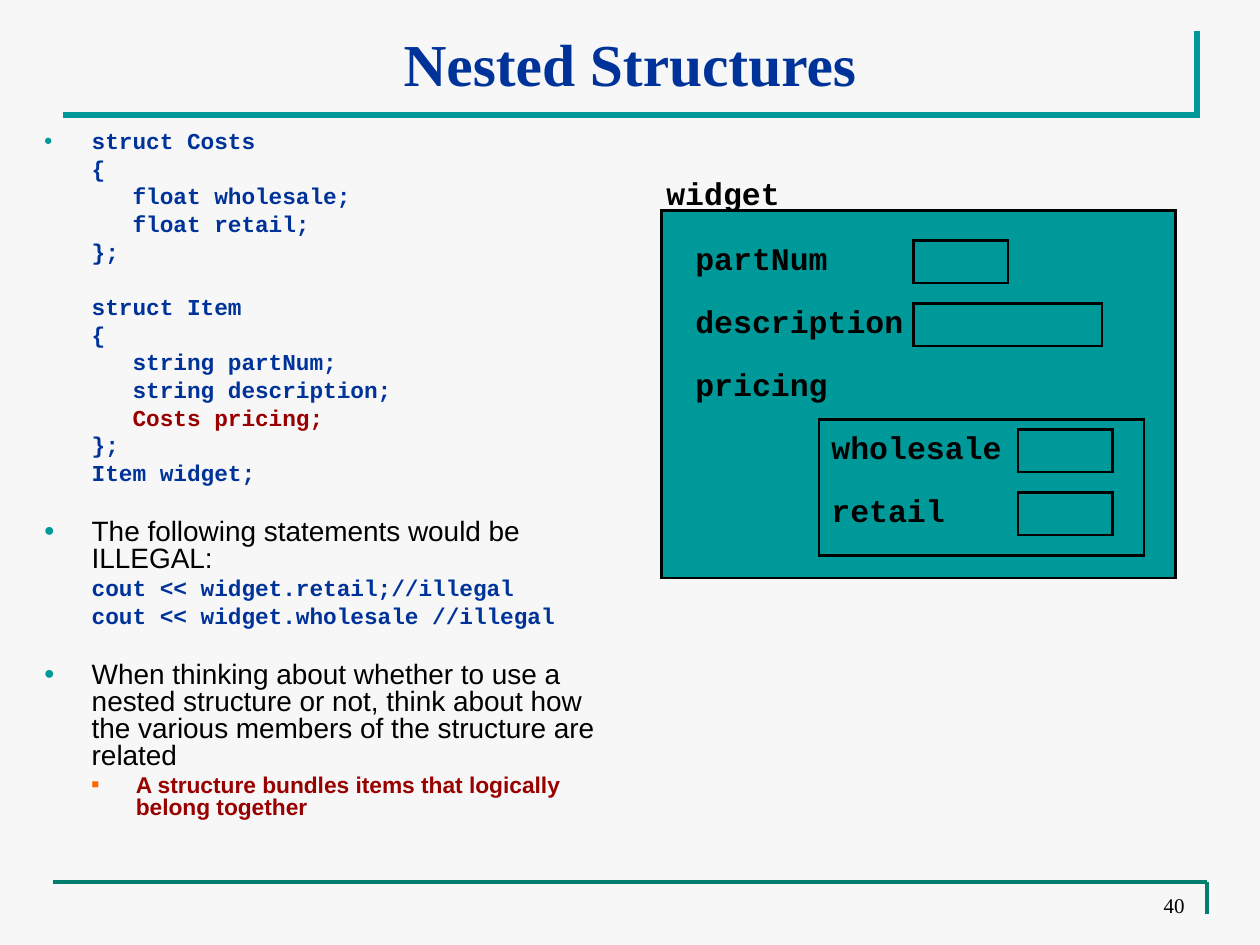
import pptx
import pptx.dml.color
import pptx.enum.shapes
import pptx.enum.text
import pptx.oxml
import pptx.util
from lxml import etree
from pptx.util import Inches

TEAL, FOOTER_TEAL, NAVY, RED = "009999", "027E6F", "003399", "990000"
ORANGE, BLACK, BACKGROUND = "FF6600", "000000", "F7F7F7"
CODE_FONT, BODY_FONT, TITLE_FONT = "Courier New", "Arial", "Times New Roman"

CODE = dict(font=CODE_FONT, size=13, color=NAVY, bold=True, margin=0.73, indent=-0.35, before=3.3)
CODE_BULLET = CODE | dict(margin=0.38, indent=-0.38, bullet=("●", TEAL, 65))
CODE_GAP = CODE | dict(before=19.1)
CODE_RED = CODE | dict(color=RED)
POINT = dict(font=BODY_FONT, size=16, color=BLACK, margin=0.38, indent=-0.38,
             before=19.5, bullet=("●", TEAL, 65))
SUBPOINT = dict(font=BODY_FONT, size=13, color=RED, bold=True, margin=0.73, indent=-0.35,
                before=3.3, bullet=("■", ORANGE, 55))

BODY = [
    ("struct Costs", CODE_BULLET),
    ("{", CODE),
    ("   float wholesale;", CODE),
    ("   float retail;", CODE),
    ("};", CODE),
    ("struct Item", CODE_GAP),
    ("{", CODE),
    ("   string partNum;", CODE),
    ("   string description;", CODE),
    ("   Costs pricing;", CODE_RED),
    ("};", CODE),
    ("Item widget;", CODE),
    ("The following statements would be ILLEGAL:", POINT),
    ("cout << widget.retail;//illegal", CODE),
    ("cout << widget.wholesale //illegal", CODE),
    ("When thinking about whether to use a nested structure or not, think about how "
     "the various members of the structure are related", POINT),
    ("A structure bundles items that logically belong together", SUBPOINT),
]

FRAMES = [(5.25, 1.67, 4.08, 2.92), (6.5, 3.33, 2.58, 1.08)]
MEMBERS = [
    ("partNum", 5.42, 7.25, 0.75),
    ("description", 5.42, 7.25, 1.5),
    ("pricing", 5.42, None, None),
    ("wholesale", 6.5, 8.08, 0.75),
    ("retail", 6.5, 8.08, 0.75),
]
MEMBER_TOP, MEMBER_STEP = 1.85, 0.5
BRACKET = [(9.5, 0.25), (9.5, 0.91), (0.5, 0.91)]
FOOTER_LINES = [(0.42, 7, 9.58, 7), (9.58, 7, 9.58, 7.25)]


def rgb(value):
    return pptx.dml.color.RGBColor.from_string(value)


def add_bullet(para, mark, color, percent):
    properties = para._p.get_or_add_pPr()
    namespace = pptx.oxml.ns.nsdecls("a")
    for xml in (
        f'<a:buClr {namespace}><a:srgbClr val="{color}"/></a:buClr>',
        f'<a:buSzPct {namespace} val="{percent * 1000}"/>',
        f'<a:buFont {namespace} typeface="{BODY_FONT}"/>',
        f'<a:buChar {namespace} char="{mark}"/>',
    ):
        properties.append(pptx.oxml.parse_xml(xml))


def write(para, text, *, font, size, color, bold=False, align=None, margin=0,
          indent=0, before=0, spacing=None, bullet=None):
    if margin:
        properties = para._p.get_or_add_pPr()
        properties.set("marL", str(Inches(margin)))
        properties.set("indent", str(Inches(indent)))
    para.alignment = align
    para.line_spacing = spacing
    para.space_before = pptx.util.Pt(before)
    if bullet:
        add_bullet(para, *bullet)
    span = para.add_run()
    span.text = text
    span.font.name = font
    span.font.size = pptx.util.Pt(size)
    span.font.bold = bold
    span.font.color.rgb = rgb(color)


def add_text(page, area, lines, anchor="TOP", wrap=True):
    box = page.shapes.add_textbox(*map(Inches, area))
    frame = box.text_frame
    frame.word_wrap = wrap
    frame.vertical_anchor = pptx.enum.text.MSO_ANCHOR[anchor]
    if not wrap:
        frame.auto_size = pptx.enum.text.MSO_AUTO_SIZE.SHAPE_TO_FIT_TEXT
    for index, (text, style) in enumerate(lines):
        para = frame.add_paragraph() if index else frame.paragraphs[0]
        write(para, text, **(style if index else style | dict(before=0)))


def add_label(page, text, left, top):
    style = dict(font=CODE_FONT, size=18, color=BLACK, bold=True)
    add_text(page, (left, top, 0.15 * len(text) + 0.2, 0.4), [(text, style)], wrap=False)


def add_block(page, area):
    block = page.shapes.add_shape(pptx.enum.shapes.MSO_SHAPE.RECTANGLE, *map(Inches, area))
    block.shadow.inherit = False
    block.fill.solid()
    block.fill.fore_color.rgb = rgb(TEAL)
    set_line(block, BLACK, 1.25)


def set_line(shape, color, width):
    shape.line.color.rgb = rgb(color)
    shape.line.width = pptx.util.Pt(width)
    outline = shape._element.spPr.find(pptx.oxml.ns.qn("a:ln"))
    etree.SubElement(outline, pptx.oxml.ns.qn("a:miter"), lim="800000")


def add_rules(page):
    points = [(Inches(x), Inches(y)) for x, y in BRACKET]
    builder = page.shapes.build_freeform(*points[0])
    builder.add_line_segments(points[1:], close=False)
    bracket = builder.convert_to_shape()
    bracket.shadow.inherit = False
    bracket.fill.background()
    set_line(bracket, TEAL, 3.5)
    for ends in FOOTER_LINES:
        rule = page.shapes.add_connector(pptx.enum.shapes.MSO_CONNECTOR.STRAIGHT, *map(Inches, ends))
        set_line(rule, FOOTER_TEAL, 2.25)
        etree.SubElement(rule._element.spPr, pptx.oxml.ns.qn("a:effectLst"))


def add_diagram(page):
    for area in FRAMES:
        add_block(page, area)
    add_label(page, "widget", 5.19, 1.33)
    for row, (name, left, field_left, field_width) in enumerate(MEMBERS):
        top = MEMBER_TOP + row * MEMBER_STEP
        add_label(page, name, left, top)
        if field_width:
            add_block(page, (field_left, top + 0.06, field_width, 0.34))


def main():
    deck = pptx.Presentation()
    deck.slide_width, deck.slide_height = Inches(10), Inches(7.5)
    page = deck.slides.add_slide(deck.slide_layouts[6])
    page.background.fill.solid()
    page.background.fill.fore_color.rgb = rgb(BACKGROUND)
    align = pptx.enum.text.PP_ALIGN
    add_rules(page)
    title = dict(font=TITLE_FONT, size=34, color=NAVY, bold=True, align=align.CENTER)
    add_text(page, (0.5, 0.16, 9, 0.67), [("Nested Structures", title)], anchor="MIDDLE")
    add_text(page, (0.25, 1, 4.67, 6.25), [(text, style | dict(spacing=0.8)) for text, style in BODY])
    add_diagram(page)
    number = dict(font=TITLE_FONT, size=12, color=BLACK, align=align.RIGHT)
    add_text(page, (7.17, 7.09, 2.33, 0.24), [("40", number)], anchor="BOTTOM")
    deck.save("out.pptx")


if __name__ == "__main__":
    main()
